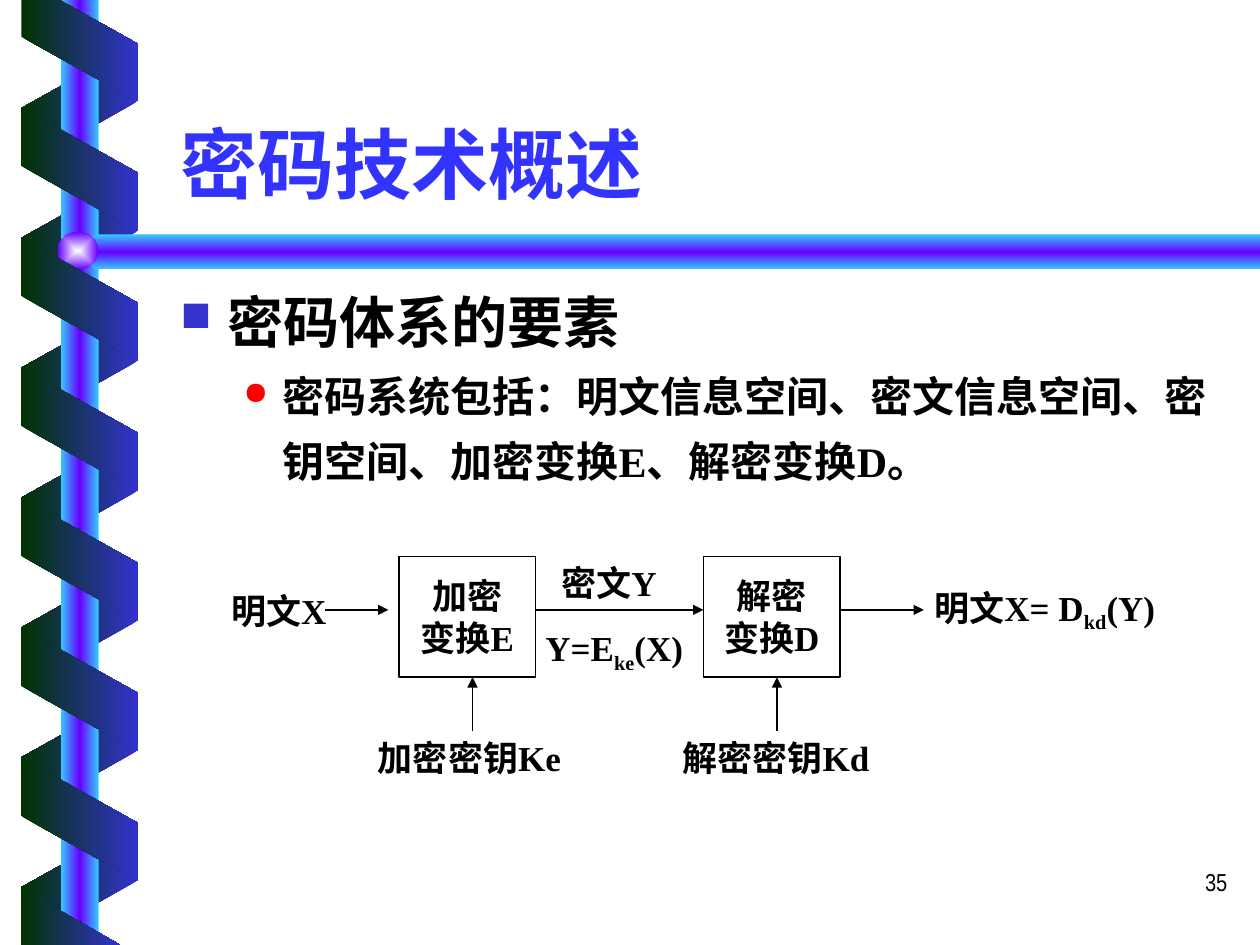
from dataclasses import dataclass
from typing import NamedTuple

from pptx import Presentation
from pptx.dml.color import RGBColor
from pptx.enum.shapes import MSO_CONNECTOR, MSO_SHAPE
from pptx.enum.text import MSO_ANCHOR, MSO_AUTO_SIZE, PP_ALIGN
from pptx.oxml import parse_xml
from pptx.oxml.ns import nsdecls, qn
from pptx.oxml.xmlchemy import OxmlElement
from pptx.util import Pt


@dataclass(frozen=True)
class Theme:
    black: str = "000000"
    title: str = "3333FF"
    blue: str = "3333CC"
    green: str = "003300"
    red: str = "FF0000"
    sky: str = "33CCFF"
    violet: str = "6600FF"
    pearl: str = "FEFFFF"
    serif: str = "Times New Roman"
    sans: str = "Noto Sans CJK SC"
    narrow: str = "Arial Narrow"
    head: float = 44
    topic: float = 32
    point: float = 24
    label: float = 20
    page: float = 14


class Box(NamedTuple):
    x: float
    y: float
    w: float
    h: float


class Bullet(NamedTuple):
    mark: str
    color: str
    left: float
    hang: float


class Stage(NamedTuple):
    x: float
    name: str
    step: str
    key: str


T = Theme()
TUBE = (T.sky, T.violet, T.sky)
FRONT = (T.green, T.blue)
BACK = (T.blue, T.green)
SHAFT = 348.5
BLOCK = Box(0, 318, 78, 69)

STAGES = [
    Stage(228, "加密", "变换E", "加密密钥Ke"),
    Stage(402, "解密", "变换D", "解密密钥Kd"),
]
LABELS = [
    (Box(132, 337, 60, 24), "明文X", PP_ALIGN.LEFT),
    (Box(318, 321, 60, 24), "密文Y", PP_ALIGN.CENTER),
    (Box(306, 358, 90, 27), "Y=E|ke|(X)", PP_ALIGN.CENTER),
    (Box(528, 335, 138, 27), "明文X= D|kd|(Y)", PP_ALIGN.CENTER),
]


def paint(shape, colors: tuple, angle: int = 0, burst: bool = False) -> None:
    """Fill with evenly spaced gradient stops, fixed against shape rotation."""
    last = len(colors) - 1
    stops = "".join(
        f'<a:gs pos="{100000 * i // last}"><a:srgbClr val="{c}"/></a:gs>'
        for i, c in enumerate(colors))
    mid = '<a:fillToRect l="50000" t="50000" r="50000" b="50000"/>'
    mode = (f'<a:path path="rect">{mid}</a:path>' if burst
            else f'<a:lin ang="{angle * 60000}" scaled="0"/>')
    shape.shadow.inherit = False
    shape.line.fill.background()
    shape.fill.gradient()
    props = shape._element.spPr
    props.replace(props.find(qn("a:gradFill")), parse_xml(
        f'<a:gradFill {nsdecls("a")} rotWithShape="0">'
        f'<a:gsLst>{stops}</a:gsLst>{mode}</a:gradFill>'))


def place(slide, kind, box: Box):
    return slide.shapes.add_shape(kind, *map(Pt, box))


def band(slide, y: float, front: bool) -> None:
    """Draw one slanted turn of the ribbon."""
    turn = place(slide, MSO_SHAPE.PARALLELOGRAM, Box(10.1, y, 70.5, 66.5))
    turn.adjustments[0] = 0.56
    turn.rotation = 270 if front else 90
    if not front:
        turn._element.spPr.xfrm.set("flipH", "1")
    paint(turn, FRONT if front else BACK)


def outline(slide, dots: list, colors: tuple, angle: int = 0) -> None:
    first, *rest = [(Pt(x), Pt(y)) for x, y in dots]
    pen = slide.shapes.build_freeform(*first)
    pen.add_line_segments(rest, close=True)
    paint(pen.convert_to_shape(), colors, angle)


def write(shape, *lines: str, size: float = T.label, font: str = T.serif,
          color: str = T.black, bold: bool = True, align=PP_ALIGN.LEFT,
          anchor=MSO_ANCHOR.MIDDLE, inset: tuple = (0, 0), wrap: bool = True,
          grow: bool = False, space: float = 1, bullet: Bullet = None,
          more: bool = False) -> None:
    """Write paragraphs; text between bars is subscript, more appends."""
    frame = shape.text_frame
    frame.word_wrap = wrap
    frame.auto_size = MSO_AUTO_SIZE.SHAPE_TO_FIT_TEXT if grow else MSO_AUTO_SIZE.NONE
    frame.vertical_anchor = anchor
    frame.margin_left = frame.margin_right = Pt(inset[0])
    frame.margin_top = frame.margin_bottom = Pt(inset[1])
    for i, line in enumerate(lines):
        para = frame.add_paragraph() if more or i else frame.paragraphs[0]
        para.alignment = align
        para.line_spacing = space
        if bullet:
            mark(para, bullet)
        for j, part in enumerate(line.split("|")):
            run = para.add_run()
            run.text = part
            run.font.size = Pt(size)
            run.font.bold = bold
            run.font.name = font
            run.font.color.rgb = RGBColor.from_string(color)
            props = run.font._element
            east = OxmlElement("a:ea")
            east.set("typeface", T.sans)
            props.find(qn("a:latin")).addnext(east)
            if j % 2:
                props.set("baseline", "-25000")


def mark(para, bullet: Bullet) -> None:
    props = para._p.get_or_add_pPr()
    props.set("marL", str(Pt(bullet.left)))
    props.set("indent", str(-Pt(bullet.hang)))
    for xml in (f'<a:buClr {nsdecls("a")}><a:srgbClr val="{bullet.color}"/></a:buClr>',
                f'<a:buSzPct {nsdecls("a")} val="75000"/>',
                f'<a:buChar {nsdecls("a")} char="{bullet.mark}"/>'):
        props.append(parse_xml(xml))


def label(slide, box: Box, *lines: str, **form):
    shape = slide.shapes.add_textbox(*map(Pt, box))
    write(shape, *lines, **form)
    return shape


def arrow(slide, *ends: float) -> None:
    link = slide.shapes.add_connector(MSO_CONNECTOR.STRAIGHT, *map(Pt, ends))
    link.line.color.rgb = RGBColor.from_string(T.black)
    link.line.width = Pt(0.75)
    tip = OxmlElement("a:tailEnd")
    tip.set("type", "triangle")
    link.line._get_or_add_ln().append(tip)
    link._element.spPr.append(OxmlElement("a:effectLst"))


def spiral(slide) -> None:
    for i in range(7):
        band(slide, 26.6 + 74.2 * i, front=False)
    paint(place(slide, MSO_SHAPE.RECTANGLE, Box(34.8, 0, 21.6, 540)), TUBE)
    outline(slide, [(720, 134), (55, 134), (43, 144), (55, 154), (720, 154)], TUBE, 90)
    paint(place(slide, MSO_SHAPE.OVAL, Box(33, 132.5, 23, 21.5)),
          (T.pearl, T.violet), burst=True)
    for i in range(6):
        band(slide, 63.4 + 74.3 * i, front=True)
    outline(slide, [(12.2, 0), (12.2, 21), (78.7, 58), (78.7, 25), (34, 0)], FRONT)
    outline(slide, [(68.8, 540), (12, 507.5), (12, 540)], FRONT)


def flow(slide) -> None:
    for stage in STAGES:
        block = place(slide, MSO_SHAPE.RECTANGLE, BLOCK._replace(x=stage.x))
        block.shadow.inherit = False
        block.fill.background()
        block.line.color.rgb = RGBColor.from_string(T.black)
        block.line.width = Pt(0.75)
        write(block, stage.name, stage.step, align=PP_ALIGN.CENTER, wrap=False)
        arrow(slide, stage.x + 42, 417.5, stage.x + 42, BLOCK.y + BLOCK.h)
        label(slide, Box(stage.x - 12, 409, 108, 48), stage.key, grow=True)
    for start, end in ((186, 222), (306, 402), (480, 528)):
        arrow(slide, start, SHAFT, end, SHAFT)
    for box, text, align in LABELS:
        label(slide, box, text, align=align, grow=True)


def main() -> None:
    deck = Presentation()
    deck.slide_width, deck.slide_height = Pt(720), Pt(540)
    slide = deck.slides.add_slide(deck.slide_layouts[6])
    spiral(slide)
    pad = (7.2, 3.6)
    label(slide, Box(558.5, 492, 150, 36), "35", size=T.page, font=T.narrow,
          bold=False, align=PP_ALIGN.RIGHT, anchor=MSO_ANCHOR.TOP, inset=pad)
    label(slide, Box(96, 33, 612, 90), "密码技术概述", size=T.head, font=T.sans,
          color=T.title, anchor=MSO_ANCHOR.BOTTOM, inset=pad)
    top = dict(anchor=MSO_ANCHOR.TOP, inset=pad)
    body = label(slide, Box(96, 161, 612, 127), "密码体系的要素", size=T.topic,
                 font=T.sans, bullet=Bullet("■", T.blue, 27, 27), **top)
    write(body, "密码系统包括：明文信息空间、密文信息空间、密钥空间、加密变换E、解密变换D。",
          size=T.point, space=1.3, bullet=Bullet("●", T.red, 58.5, 22.5),
          more=True, **top)
    flow(slide)
    deck.save("out.pptx")


if __name__ == "__main__":
    main()
